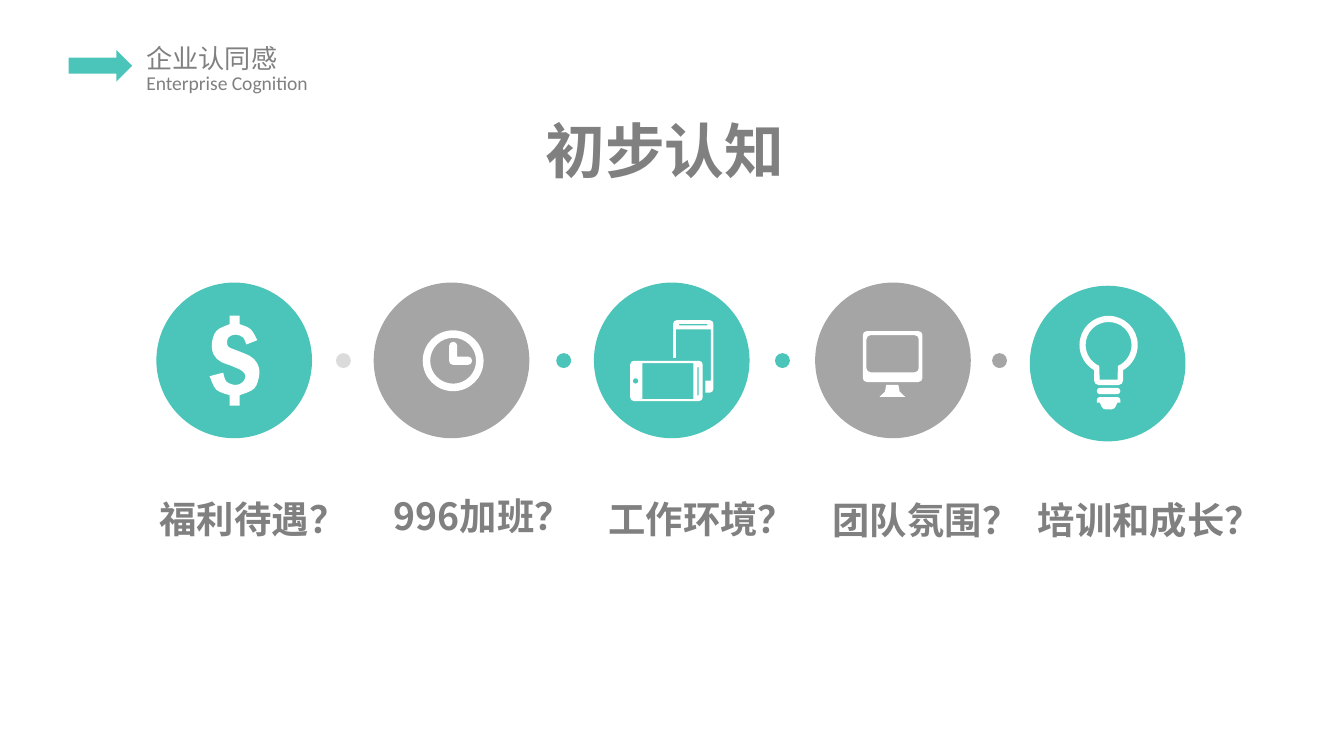
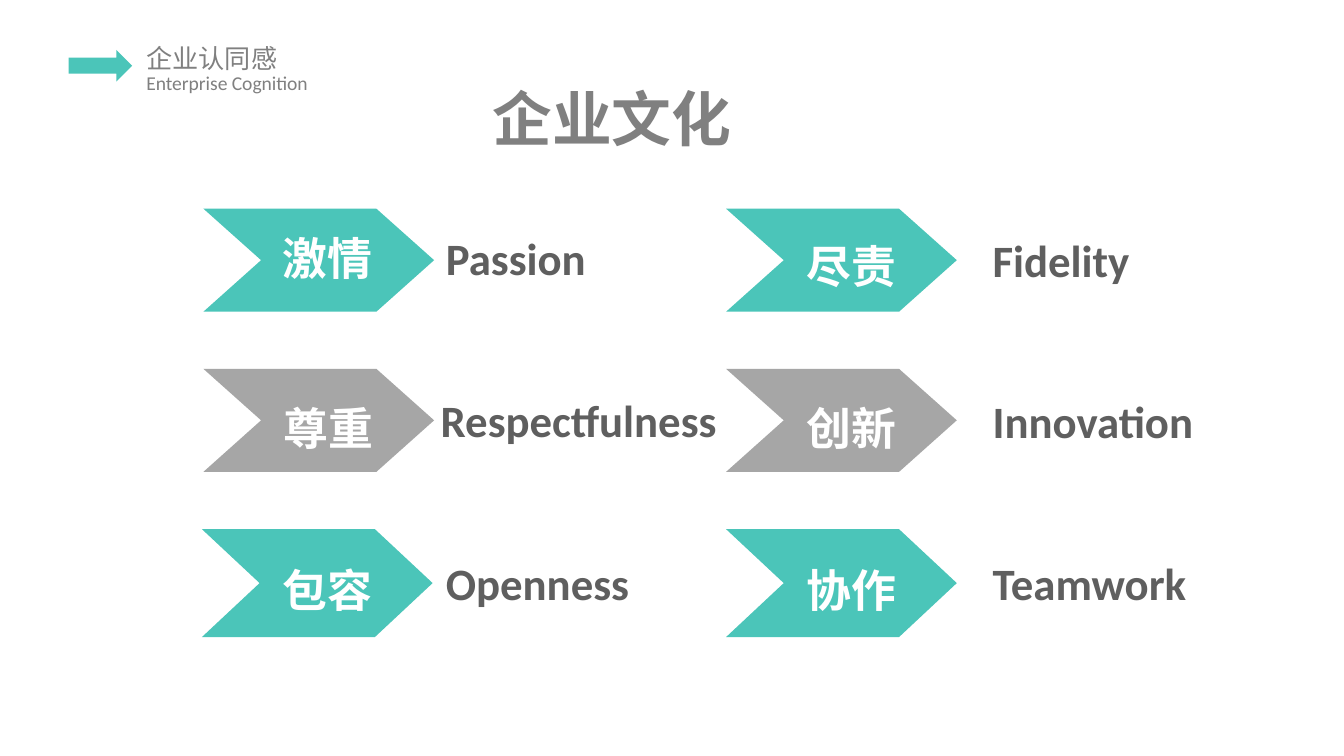
from math import cos, dist, radians, sin, tan

from lxml import etree
from pptx import Presentation
from pptx.dml.color import RGBColor
from pptx.enum import shapes, text
from pptx.oxml import ns
from pptx.util import Pt

TEAL = RGBColor(0x4B, 0xC5, 0xB9)
CIRCLE_GRAY = RGBColor(0xA5, 0xA5, 0xA5)
CHEVRON_GRAY = RGBColor(0xA6, 0xA6, 0xA6)
TEXT_GRAY = RGBColor(0x80, 0x80, 0x80)
DARK_GRAY = RGBColor(0x5F, 0x5F, 0x5F)
WHITE = RGBColor(0xFF, 0xFF, 0xFF)
CJK_FONT = "Noto Sans CJK SC"

CIRCLE_SIZE = 83.4
DOT_SIZE = 8
CHEVRON_WIDTH = 123.6


def fill_plain(shape, color, alpha=None):
    shape.shadow.inherit = False
    shape.fill.solid()
    shape.fill.fore_color.rgb = color
    shape.line.fill.background()
    if alpha is not None:
        color_element = shape.element.spPr.find(".//" + ns.qn("a:srgbClr"))
        etree.SubElement(color_element, ns.qn("a:alpha"), val=str(alpha * 1000))


def add_preset(slide, preset, box, color, alpha=None):
    shape = slide.shapes.add_shape(preset, *map(Pt, box))
    fill_plain(shape, color, alpha)


def add_outline(slide, left, top, contours, color):
    """Draw closed contours as one shape, relative to (left, top).

    A contour is a list of steps: one point is a line, three are a cubic curve.
    """
    builder = None
    for contour in contours:
        points = [(Pt(x), Pt(y)) for step in contour for x, y in step]
        if builder is None:
            builder = slide.shapes.build_freeform(*points[0])
        else:
            builder.move_to(*points[0])
        builder.add_line_segments(points[1:], close=True)
    shape = builder.convert_to_shape(Pt(left), Pt(top))
    fill_plain(shape, color)
    lines = iter(shape.element.findall(".//" + ns.qn("a:lnTo")))
    for contour in contours:
        for step in contour[1:]:
            parts = [next(lines) for _ in step]
            if len(parts) == 3:
                curve = etree.Element(ns.qn("a:cubicBezTo"))
                parts[0].addprevious(curve)
                for part in parts:
                    curve.append(part[0])
                    part.getparent().remove(part)


def style_text(shape, content, size, font, color, bold=True, inset=(7.2, 3.6)):
    frame = shape.text_frame
    frame.text = content
    frame.word_wrap = True
    frame.auto_size = text.MSO_AUTO_SIZE.SHAPE_TO_FIT_TEXT
    frame.vertical_anchor = text.MSO_ANCHOR.TOP
    frame.margin_left = frame.margin_right = Pt(inset[0])
    frame.margin_top = frame.margin_bottom = Pt(inset[1])
    paragraph = frame.paragraphs[0]
    paragraph.alignment = text.PP_ALIGN.LEFT
    run = paragraph.runs[0]
    run.font.name = font
    run.font.size = Pt(size)
    run.font.bold = bold
    run.font.color.rgb = color
    etree.SubElement(run.font._element, ns.qn("a:ea"), typeface=CJK_FONT)
    return frame


def add_text(slide, box, content, size, font, color, **options):
    shape = slide.shapes.add_textbox(*map(Pt, box))
    return style_text(shape, content, size, font, color, **options)


def set_title(slide, left, top, content):
    title = slide.shapes.title
    title.left, title.top, title.width, title.height = map(Pt, (left, top, 222, 39))
    style_text(title, content, 32, "Arial", TEXT_GRAY, inset=(0, 0))


def add_header(slide, left, top):
    """Build the section header and move it to the layout all slides share."""
    lines = [(0, 86, 24.5, "企业认同感", 14, CJK_FONT),
             (15.1, 104, 20, "Enterprise Cognition", 10.5, "Calibri")]
    for offset, width, height, content, size, font in lines:
        frame = add_text(slide, (left + 33.7, top + offset, width, height), content,
                         size, font, TEXT_GRAY, bold=False, inset=(7.9, 3.6))
        frame.word_wrap = False
    add_preset(slide, shapes.MSO_SHAPE.RIGHT_ARROW, (left, top + 7.6, 34, 17), TEAL)
    for shape in list(slide.shapes):
        if not shape.is_placeholder:
            slide.slide_layout.shapes.element.append(shape.element)


def polygon(*points):
    return [(point,) for point in points]


def box_points(left, top, right, bottom):
    return [(left, top), (right, top), (right, bottom), (left, bottom)]


def arc(x, y, radius, *angles):
    """Circular arc split at the given angles, clockwise from the right."""
    angles = [radians(angle) for angle in angles or (0, 90, 180, 270, 360)]

    def at(angle, pull=0.0):
        return (x + radius * (cos(angle) - pull * sin(angle)),
                y + radius * (sin(angle) + pull * cos(angle)))

    steps = [(at(angles[0]),)]
    for start, end in zip(angles, angles[1:]):
        pull = 4 / 3 * tan((end - start) / 4)
        steps.append((at(start, pull), at(end, -pull), at(end)))
    return steps


def toward(start, end, share):
    return tuple(a + (b - a) * share for a, b in zip(start, end))


def rounded(points, radius, corners=None):
    """Closed polygon with all corners, or those numbered, rounded off."""
    steps = []
    for i, corner in enumerate(points):
        if corners and i not in corners:
            steps.append((corner,))
            continue
        before, after = (toward(corner, other, radius / dist(corner, other))
                         for other in (points[i - 1], points[(i + 1) % len(points)]))
        steps += [(before,), (toward(before, corner, 0.55),
                              toward(after, corner, 0.55), after)]
    return steps


def spline(*points):
    """Smooth curve steps from the first point through all the others."""
    padded = [points[0], *points, points[-1]]
    steps = []
    for before, start, end, after in zip(padded, padded[1:], padded[2:], padded[3:]):
        steps.append((tuple(s + (e - b) / 6 for s, e, b in zip(start, end, before)),
                      tuple(e - (a - s) / 6 for e, a, s in zip(end, after, start)),
                      end))
    return steps


# Icon contours, in points from the centre of the circle that holds them.
DOLLAR = [
    polygon((2.9, 18.7), (2.9, 24.3), (-2.4, 24.3), (-2.4, 18.7))
    + spline((-2.4, 18.7), (-9.6, 15.7), (-13.2, 8.5))
    + polygon((-5.9, 6.6))
    + spline((-5.9, 6.6), (-4.2, 11.3), (0.7, 13.2), (4.5, 11.7), (6, 8.6), (4.3, 5.7),
             (-1.4, 3), (-7.2, 0.7), (-10.9, -2.9), (-12, -8.8), (-9.5, -15.8),
             (-2.4, -19.4))
    + polygon((-2.4, -24), (2.9, -24), (2.9, -19.4))
    + spline((2.9, -19.4), (8.8, -16.7), (12.4, -10.8))
    + polygon((6.5, -8.5))
    + spline((6.5, -8.5), (4.7, -12.3), (0.7, -13.8), (-3, -12.4), (-3.8, -9.5),
             (-2.9, -7.1), (2.2, -5), (8.6, -2.2), (12.2, 1.4), (13.5, 7.2),
             (10.8, 15), (2.9, 18.7))]
CLOCK = [
    arc(0.9, 0.2, 16.3), arc(0.9, 0.2, 12.3),
    rounded([(-1.2, -9.9), (3.1, -9.9), (3.1, -2), (11, -2), (11, 2.4), (-1.2, 2.4)],
            2, {0, 1, 3, 4, 5})]
PHONES = [
    rounded([(0.7, -1.4), (0.7, -21.6), (22.3, -21.6), (22.3, 17.3), (18, 17.3),
             (18, 10.8), (20.9, 10.8), (20.9, -16.6), (2.2, -16.6), (2.2, -1.4)],
            2, {1, 2, 3}),
    polygon(*box_points(4, -19.6, 19.1, -18.8)),
    rounded(box_points(-22.3, 0.2, 16.6, 21.8), 2),
    polygon(*box_points(13.7, 3.6, 14.4, 18.7)), arc(-19.4, 11, 1.5),
    polygon(*box_points(-15.8, 1.4, 11.5, 20.7))]
MONITOR = [
    rounded(box_points(-16.2, -15.7, 15.8, 11.6), 2.2),
    rounded(box_points(-14.2, -13.5, 13.8, 6.4), 2.2),
    polygon((-3.6, 13.2), (2.9, 13.2), (3.6, 16.8), (6.5, 19.5), (-7.2, 19.5),
            (-4.3, 16.8))]
BULB = [
    arc(0.5, -10, 15.6, 120, 180, 270, 360, 420)
    + rounded([(8.3, 3.5), (8.3, 11.5), (-7.3, 11.5), (-7.3, 3.5)], 2.5)[2:6],
    arc(0.5, -10, 12.3, 114, 180, 270, 360, 426) + polygon((5.3, 8.6), (-4.3, 8.6)),
    rounded(box_points(-5.8, 13, 6.8, 16.4), 1.6),
    rounded([(-5.8, 18), (6.8, 18), (6.8, 20.9), (5.2, 20.9), (3.6, 24.5),
             (-2.6, 24.5), (-4.2, 20.9), (-5.8, 20.9)], 1.4, {0, 1, 4, 5})]

# Circle left and top, colour, icon, then label left, top, width and wording.
TOPICS = [
    (83.8, 151.4, TEAL, DOLLAR, 77.3, 252, 96.5, "福利待遇？"),
    (200.2, 151.4, CIRCLE_GRAY, CLOCK, 200.5, 250.4, 96.5, "996加班？"),
    (318.2, 151.4, TEAL, PHONES, 317.7, 252, 96.5, "工作环境？"),
    (436.7, 151.4, CIRCLE_GRAY, MONITOR, 437.8, 252.6, 96.5, "团队氛围？"),
    (551.7, 153.1, TEAL, BULB, 547, 252.6, 118, "培训和成长？"),
]
DOTS = [(180, CIRCLE_GRAY, 40), (298, TEAL, None), (415.2, TEAL, None),
        (531.5, CIRCLE_GRAY, None)]

# Chevron left, top, height and colour; value left, top, width and wording;
# translation left, top, width and wording.
VALUES = [
    (109, 111.8, 55.2, TEAL, (144.3, 120.2, 64, "激情"), (231.8, 120.2, 108, "Passion")),
    (109, 197.6, 55.2, CHEVRON_GRAY, (144.7, 211, 67, "尊重"),
     (229, 207, 164, "Respectfulness")),
    (108.2, 283.5, 57.8, TEAL, (144.3, 298, 72, "包容"), (231.8, 294, 124, "Openness")),
    (389, 111.8, 55.2, TEAL, (425, 124.5, 65.5, "尽责"), (524.7, 121, 108, "Fidelity")),
    (389, 197.6, 55.2, CHEVRON_GRAY, (425, 211, 77, "创新"),
     (524.7, 207.4, 124, "Innovation")),
    (389, 283.5, 57.8, TEAL, (425, 298, 71, "协作"), (524.7, 294, 124, "Teamwork")),
]


def add_topic_circle(slide, left, top, color, icon):
    add_preset(slide, shapes.MSO_SHAPE.OVAL, (left, top, CIRCLE_SIZE, CIRCLE_SIZE), color)
    add_outline(slide, left + CIRCLE_SIZE / 2, top + CIRCLE_SIZE / 2, icon, WHITE)


def add_topic_label(slide, left, top, width, content):
    frame = add_text(slide, (left, top, width, 39.6), content, 20, CJK_FONT, TEXT_GRAY)
    frame.vertical_anchor = text.MSO_ANCHOR.MIDDLE
    frame.paragraphs[0].alignment = text.PP_ALIGN.CENTER
    frame.paragraphs[0].line_spacing = 1.5


def build_topics_slide(slide):
    set_title(slide, 292.2, 60.8, "初步认知")
    for left, top, color, icon, *label in TOPICS:
        add_topic_circle(slide, left, top, color, icon)
        add_topic_label(slide, *label)
    for left, color, alpha in DOTS:
        add_preset(slide, shapes.MSO_SHAPE.OVAL, (left, 189.2, DOT_SIZE, DOT_SIZE),
                   color, alpha)


def add_chevron(slide, left, top, height, color):
    notch, shoulder = CHEVRON_WIDTH * 0.25, CHEVRON_WIDTH * 0.75
    add_outline(slide, left, top, [polygon(
        (0, 0), (shoulder, 0), (CHEVRON_WIDTH, height / 2), (shoulder, height),
        (0, height), (notch, height / 2))], color)


def build_values_slide(slide):
    set_title(slide, 263.8, 44, "企业文化")
    for left, top, height, color, value, translation in VALUES:
        add_chevron(slide, left, top, height, color)
        for label, label_color in ((value, WHITE), (translation, DARK_GRAY)):
            *place, content = label
            add_text(slide, (*place, 36), content, 24, "Calibri", label_color)


def main():
    presentation = Presentation()
    presentation.slide_width, presentation.slide_height = Pt(720), Pt(405)
    layout = presentation.slide_layouts[5]
    for placeholder in list(layout.placeholders):
        if placeholder.placeholder_format.type != shapes.PP_PLACEHOLDER.TITLE:
            layout.shapes.element.remove(placeholder.element)
    topics, values = (presentation.slides.add_slide(layout) for _ in range(2))
    add_header(topics, 36.8, 19.1)
    build_topics_slide(topics)
    build_values_slide(values)
    presentation.save("out.pptx")


if __name__ == "__main__":
    main()
